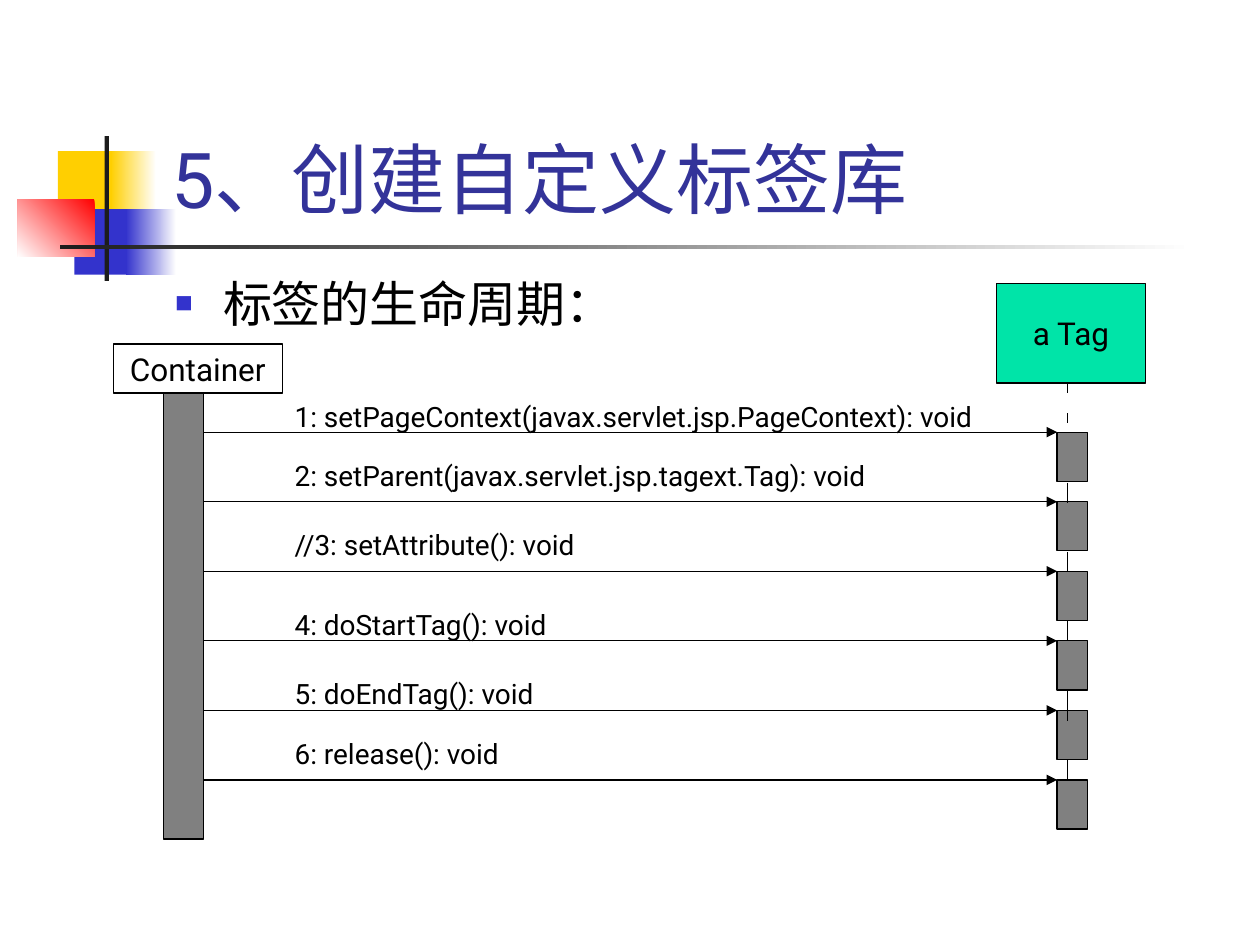
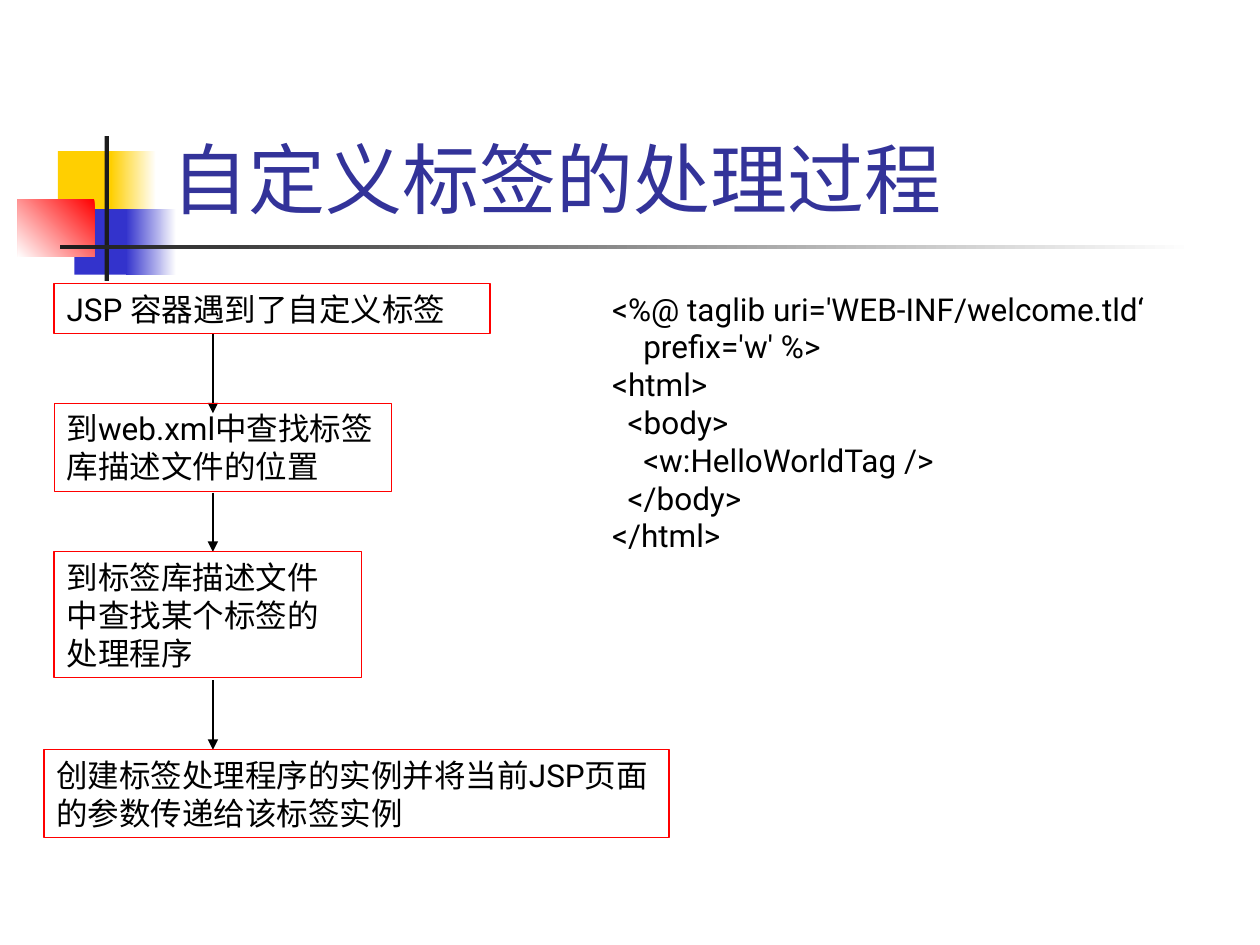
from dataclasses import dataclass
from typing import Optional

from lxml.etree import SubElement
from pptx import Presentation
from pptx.dml.color import RGBColor
from pptx.enum.shapes import MSO_CONNECTOR, MSO_SHAPE
from pptx.enum.text import MSO_ANCHOR, MSO_AUTO_SIZE, PP_ALIGN
from pptx.oxml.ns import qn
from pptx.util import Inches, Pt

SLIDE_WIDTH, SLIDE_HEIGHT = Inches(10), Inches(7.5)
COLUMN, ROW = SLIDE_WIDTH / 100, SLIDE_HEIGHT / 75
FONT = "Roboto"
LINE_WIDTH = Pt(0.75)
COLORS = {
    "title": "333399",
    "text": "000000",
    "line": "000000",
    "white": "FFFFFF",
    "yellow": "FFCF01",
    "blue": "3333CC",
    "red": "FF0000",
    "dark": "1C1C1C",
    "activation": "808080",
    "tag": "00E4A8",
}


@dataclass(frozen=True)
class Area:
    """A rectangle in grid columns and rows."""
    left: float
    top: float
    width: float
    height: float

    def lengths(self) -> tuple[int, int, int, int]:
        return (round(self.left * COLUMN), round(self.top * ROW),
                round(self.width * COLUMN), round(self.height * ROW))


@dataclass(frozen=True)
class Band:
    """A decoration; with an end colour it becomes a gradient."""
    area: Area
    color: str
    end_color: Optional[str] = None
    angle: int = 180


@dataclass(frozen=True)
class Message:
    text: str
    label_top: float


@dataclass(frozen=True)
class Step:
    text: str
    area: Area
    arrow_rows: Optional[tuple[float, float]] = None


BANDS = [
    Band(Area(4.6, 12, 4.8, 5.2), "yellow"),
    Band(Area(8.8, 12, 3.6, 5.2), "white", "yellow"),
    Band(Area(5.9, 16.6, 4.6, 5.2), "blue"),
    Band(Area(10, 16.6, 4, 5.2), "white", "blue"),
    Band(Area(1.4, 15.8, 6.1, 4.6), "red", "white", 225),
    Band(Area(8.3, 10.8, 0.35, 11.5), "dark"),
    Band(Area(4.8, 19.45, 90, 0.35), "white", "dark"),
]
TITLE_AREA = Area(12.6, 2.3, 85.2, 16)

MESSAGES = [
    Message("1: setPageContext(javax.servlet.jsp.PageContext): void", 31.2),
    Message("2: setParent(javax.servlet.jsp.tagext.Tag): void", 35.9),
    Message("//3: setAttribute(): void", 41.4),
    Message("4: doStartTag(): void", 47.7),
    Message("5: doEndTag(): void", 53.2),
    Message("6: release(): void", 58),
]
FIRST_MESSAGE_ROW, MESSAGE_PITCH = 34.3, 5.52
CONTAINER_BAR = Area(13, 31.2, 3.15, 35.4)
ACTIVATION_LEFT, ACTIVATION_WIDTH, ACTIVATION_HEIGHT = 83.9, 2.4, 3.9
LIFELINE_COLUMN = 84.7
LIFELINE_DASHES = [(30.4, 31.2), (32.8, 33.6), (38.3, 39.9), (43.8, 45.4),
                   (49.3, 50.9), (54.8, 57.2), (60.3, 61.9)]

STEP_ARROW_COLUMN = 16.9
STEPS = [
    Step("JSP 容器遇到了自定义标签", Area(4.3, 22.5, 34.6, 4), (26.5, 32.8)),
    Step("到web.xml中查找标签库描述文件的位置", Area(4.3, 32, 26.8, 7), (39.1, 43.8)),
    Step("到标签库描述文件中查找某个标签的处理程序", Area(4.3, 43.8, 24.4, 10), (54, 59.5)),
    Step("创建标签处理程序的实例并将当前JSP页面的参数传递给该标签实例",
         Area(3.5, 59.5, 49.6, 7)),
]
CODE_LINES = [
    "<%@ taglib uri='WEB-INF/welcome.tld‘",
    "    prefix='w' %>",
    "<html>",
    "  <body>",
    "    <w:HelloWorldTag />",
    "  </body>",
    "</html>",
]


def rgb(name: str) -> RGBColor:
    return RGBColor.from_string(COLORS[name])


def add_text(paragraph, text: str, size: float, color: str = "text") -> None:
    run = paragraph.add_run()
    run.text = text
    run.font.name = FONT
    run.font.size = Pt(size)
    run.font.color.rgb = rgb(color)


def place(shape, area: Area) -> None:
    shape.left, shape.top, shape.width, shape.height = area.lengths()


def add_box(slide, area: Area, fill: Optional[str] = None, line: Optional[str] = None):
    shape = slide.shapes.add_shape(MSO_SHAPE.RECTANGLE, *area.lengths())
    shape.shadow.inherit = False
    if fill:
        shape.fill.solid()
        shape.fill.fore_color.rgb = rgb(fill)
    else:
        shape.fill.background()
    if line:
        shape.line.color.rgb = rgb(line)
        shape.line.width = LINE_WIDTH
    else:
        shape.line.fill.background()
    return shape


def add_band(slide, band: Band) -> None:
    shape = add_box(slide, band.area, band.color)
    if band.end_color:
        shape.fill.gradient()
        shape.fill.gradient_angle = band.angle
        for stop, name in zip(shape.fill.gradient_stops, (band.color, band.end_color)):
            stop.color.rgb = rgb(name)


def add_line(slide, start: tuple[float, float], end: tuple[float, float],
             arrow: bool = False) -> None:
    points = [round(value) for column, row in (start, end)
              for value in (column * COLUMN, row * ROW)]
    connector = slide.shapes.add_connector(MSO_CONNECTOR.STRAIGHT, *points)
    connector.line.color.rgb = rgb("line")
    connector.line.width = LINE_WIDTH
    properties = connector._element.spPr
    if arrow:
        SubElement(properties.find(qn("a:ln")), qn("a:tailEnd"), type="triangle")
    SubElement(properties, qn("a:effectLst"))


def add_name_box(slide, text: str, area: Area, fill: str) -> None:
    """Head of a participant: one centred line."""
    frame = add_box(slide, area, fill, "line").text_frame
    frame.word_wrap = False
    frame.vertical_anchor = MSO_ANCHOR.MIDDLE
    paragraph = frame.paragraphs[0]
    paragraph.alignment = PP_ALIGN.CENTER
    add_text(paragraph, text, 18)


def add_text_box(slide, area: Area, lines: list[str], size: float) -> None:
    frame = slide.shapes.add_textbox(*area.lengths()).text_frame
    frame.word_wrap = True
    for index, line in enumerate(lines):
        paragraph = frame.add_paragraph() if index else frame.paragraphs[0]
        add_text(paragraph, line, size)


def add_titled_slide(presentation, layout_name: str, title: str):
    slide = presentation.slides.add_slide(
        presentation.slide_layouts.get_by_name(layout_name))
    for band in BANDS:
        add_band(slide, band)
    place(slide.shapes.title, TITLE_AREA)
    frame = slide.shapes.title.text_frame
    frame.auto_size = MSO_AUTO_SIZE.NONE
    frame.vertical_anchor = MSO_ANCHOR.BOTTOM
    paragraph = frame.paragraphs[0]
    paragraph.alignment = PP_ALIGN.LEFT
    add_text(paragraph, title, 44, "title")
    return slide


def fill_bullet(body, text: str) -> None:
    place(body, Area(12.9, 22.1, 58.3, 5.2))
    frame = body.text_frame
    frame.auto_size = MSO_AUTO_SIZE.NONE
    paragraph = frame.paragraphs[0]
    paragraph.line_spacing = 0.8
    paragraph.space_before = Pt(0)
    properties = paragraph._p.get_or_add_pPr()
    properties.set("marL", str(Inches(0.38)))
    properties.set("indent", str(-Inches(0.38)))
    bullet_color = SubElement(properties, qn("a:buClr"))
    SubElement(bullet_color, qn("a:srgbClr"), val=COLORS["blue"])
    SubElement(properties, qn("a:buSzPct"), val="60000")
    SubElement(properties, qn("a:buChar"), char="■")
    add_text(paragraph, text, 28)


def build_life_cycle(presentation) -> None:
    slide = add_titled_slide(presentation, "Title and Content", "5、创建自定义标签库")
    fill_bullet(slide.placeholders[1], "标签的生命周期：")
    add_name_box(slide, "Container", Area(9, 27.3, 13.4, 3.9), "white")
    add_box(slide, CONTAINER_BAR, "activation", "line")
    add_name_box(slide, "a Tag", Area(79.1, 22.5, 11.8, 7.9), "tag")
    bar_right = CONTAINER_BAR.left + CONTAINER_BAR.width
    for index, message in enumerate(MESSAGES):
        row = FIRST_MESSAGE_ROW + index * MESSAGE_PITCH
        activation = Area(ACTIVATION_LEFT, row, ACTIVATION_WIDTH, ACTIVATION_HEIGHT)
        add_box(slide, activation, "activation", "line")
        add_line(slide, (bar_right, row), (ACTIVATION_LEFT, row), arrow=True)
        add_text_box(slide, Area(22.4, message.label_top, 56.7, 3.7), [message.text], 16)
    for top, bottom in LIFELINE_DASHES:
        add_line(slide, (LIFELINE_COLUMN, top), (LIFELINE_COLUMN, bottom))


def build_processing(presentation) -> None:
    slide = add_titled_slide(presentation, "Title Only", "自定义标签的处理过程")
    for step in STEPS:
        frame = add_box(slide, step.area, line="red").text_frame
        frame.word_wrap = True
        frame.vertical_anchor = MSO_ANCHOR.TOP
        paragraph = frame.paragraphs[0]
        paragraph.alignment = PP_ALIGN.LEFT
        add_text(paragraph, step.text, 18)
        if step.arrow_rows:
            top, bottom = step.arrow_rows
            add_line(slide, (STEP_ARROW_COLUMN, top), (STEP_ARROW_COLUMN, bottom), arrow=True)
    add_text_box(slide, Area(47.6, 22.5, 52.4, 22), CODE_LINES, 18)


def main() -> None:
    presentation = Presentation()
    presentation.slide_width, presentation.slide_height = SLIDE_WIDTH, SLIDE_HEIGHT
    build_life_cycle(presentation)
    build_processing(presentation)
    presentation.save("out.pptx")


if __name__ == "__main__":
    main()
